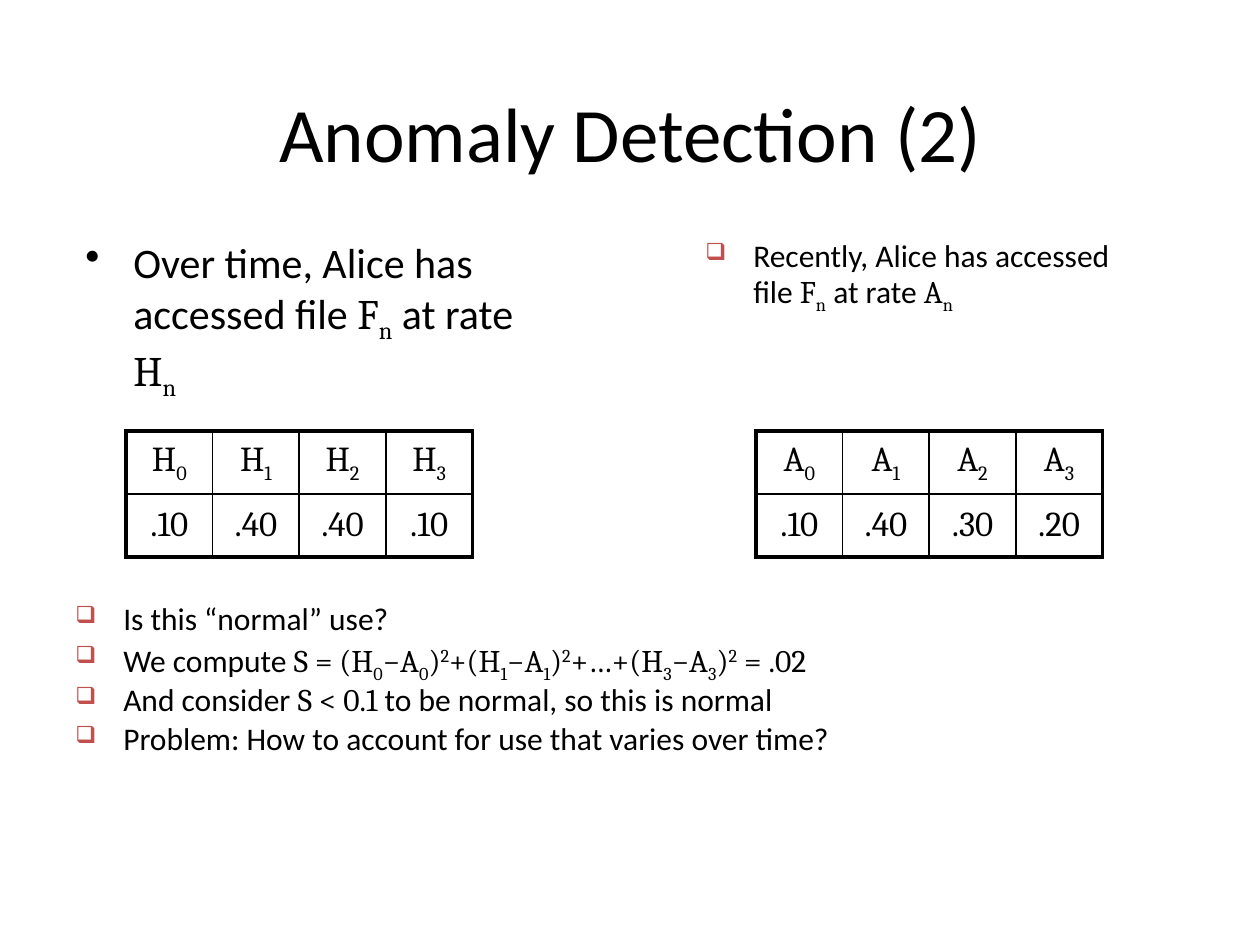
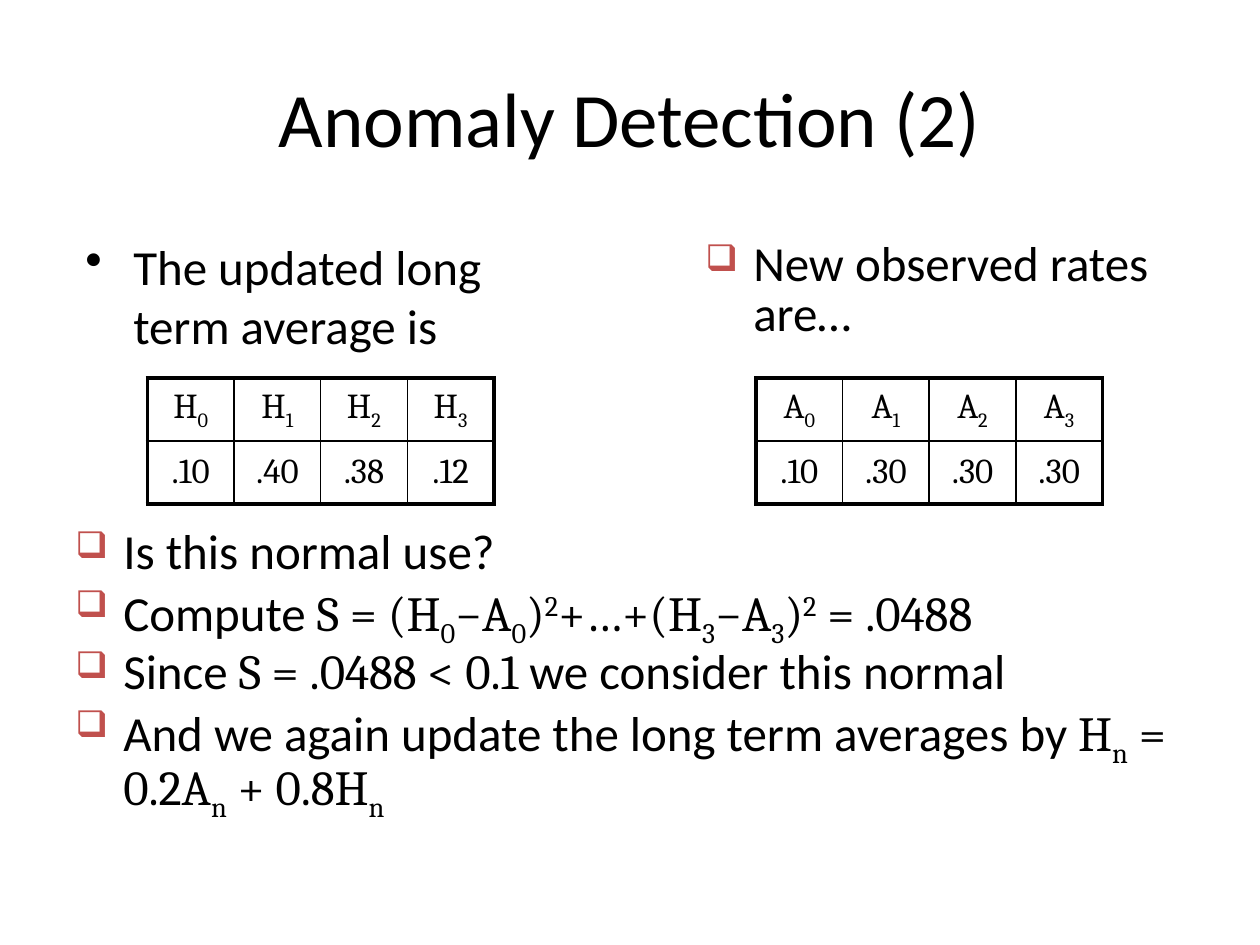
"""Build two slides that compare long term and recent file access rates."""
from dataclasses import dataclass
from itertools import groupby
from typing import Any, Iterator, Optional

from pptx import Presentation
from pptx.dml.color import RGBColor
from pptx.enum.text import MSO_ANCHOR, PP_ALIGN
from pptx.oxml.ns import qn
from pptx.slide import Slide
from pptx.table import _Cell
from pptx.util import Inches, Pt
from lxml import etree

CENTER, LEFT = PP_ALIGN.CENTER, PP_ALIGN.LEFT
MIDDLE, TOP = MSO_ANCHOR.MIDDLE, MSO_ANCHOR.TOP
BASELINES = {"_": -25000, "^": 30000}


@dataclass(frozen=True)
class Theme:
    text_font: str = "Calibri"
    math_font: str = "Cambria"
    ink: str = "000000"
    accent: str = "C0504D"
    title_size: int = 44
    cell_size: int = 20
    space_ratio: float = 0.2
    indent: float = 0.38
    outer_line: float = 2.25
    inner_line: float = 1


@dataclass(frozen=True)
class Bullet:
    character: str
    color: Optional[str] = None
    percent: int = 100


@dataclass(frozen=True)
class TextBlock:
    box: tuple[float, float, float, float]
    size: int
    lines: tuple[str, ...]
    bullet: Optional[Bullet] = None
    line_spacing: float = 1.0


@dataclass(frozen=True)
class RateTable:
    left: float
    top: float
    letter: str
    rates: tuple[str, ...]
    column_width: float = 2.75 / 4
    row_height: float = 0.5


@dataclass(frozen=True)
class SlideContent:
    title: TextBlock
    blocks: tuple[TextBlock, ...]
    tables: tuple[RateTable, ...]


THEME = Theme()
DOT = Bullet("•")
SQUARE = Bullet("❑", THEME.accent, 75)
TITLE = ("Anomaly Detection (2)",)


def apply_format(target: Any, values: dict[str, Any]) -> None:
    """Set each named attribute on the target."""
    for name, value in values.items():
        setattr(target, name, value)


def split_runs(text: str) -> Iterator[tuple[str, str, int]]:
    """Yield wording, font and baseline; $ encloses math, _ and ^ shift one character."""
    for index, segment in enumerate(text.split("$")):
        if index % 2 == 0:
            if segment:
                yield segment, THEME.text_font, 0
            continue
        shifted = [(BASELINES.get(previous, 0), character)
                   for previous, character in zip(" " + segment, segment)
                   if character not in BASELINES]
        for baseline, group in groupby(shifted, key=lambda pair: pair[0]):
            yield "".join(character for _, character in group), THEME.math_font, baseline


def write_runs(paragraph: Any, text: str, size: int) -> None:
    """Write marked-up text into a paragraph."""
    for wording, font_name, baseline in split_runs(text):
        run = paragraph.add_run()
        run.text = wording
        apply_format(run.font, {"name": font_name, "size": Pt(size)})
        run.font.color.rgb = RGBColor.from_string(THEME.ink)
        if baseline:
            run.font._element.set("baseline", str(baseline))


def set_bullet(paragraph: Any, bullet: Bullet) -> None:
    """Give a paragraph a hanging bullet."""
    properties = paragraph._p.get_or_add_pPr()
    indent = Inches(THEME.indent)
    properties.set("marL", str(indent))
    properties.set("indent", str(-indent))
    if bullet.color:
        color = etree.SubElement(properties, qn("a:buClr"))
        etree.SubElement(color, qn("a:srgbClr"), val=bullet.color)
    etree.SubElement(properties, qn("a:buSzPct"), val=str(bullet.percent * 1000))
    etree.SubElement(properties, qn("a:buChar"), char=bullet.character)


def draw_text(slide: Slide, block: TextBlock) -> None:
    """Draw a bulleted block, or a centred title when there is no bullet."""
    shape = slide.shapes.add_textbox(*map(Inches, block.box))
    frame = shape.text_frame
    apply_format(frame, {"word_wrap": True, "vertical_anchor": TOP if block.bullet else MIDDLE})
    for index, line in enumerate(block.lines):
        paragraph = frame.add_paragraph() if index else frame.paragraphs[0]
        space = THEME.space_ratio * block.size if block.bullet else 0
        apply_format(paragraph, {
            "alignment": LEFT if block.bullet else CENTER,
            "line_spacing": block.line_spacing,
            "space_before": Pt(space),
        })
        if block.bullet:
            set_bullet(paragraph, block.bullet)
        write_runs(paragraph, line, block.size)


def set_borders(cell: _Cell, outer_sides: dict[str, bool]) -> None:
    """Draw the cell borders, heavier on the outer sides."""
    properties = cell._tc.get_or_add_tcPr()
    for side, is_outer in outer_sides.items():
        width = Pt(THEME.outer_line if is_outer else THEME.inner_line)
        line = etree.SubElement(properties, qn(f"a:ln{side}"), w=str(width))
        fill = etree.SubElement(line, qn("a:solidFill"))
        etree.SubElement(fill, qn("a:srgbClr"), val=THEME.ink)


def draw_table(slide: Slide, content: RateTable) -> None:
    """Draw a header of indexed letters above their rates."""
    header = [f"{content.letter}_{index}" for index in range(len(content.rates))]
    rows = (header, content.rates)
    last_row, last_column = len(rows) - 1, len(header) - 1
    bounds = (content.left, content.top,
              content.column_width * len(header), content.row_height * len(rows))
    table = slide.shapes.add_table(len(rows), len(header), *map(Inches, bounds)).table
    apply_format(table, {"first_row": False, "horz_banding": False})
    for row_index, row in enumerate(rows):
        for column_index, text in enumerate(row):
            cell = table.cell(row_index, column_index)
            cell.vertical_anchor = MIDDLE
            set_borders(cell, {
                "L": column_index == 0,
                "R": column_index == last_column,
                "T": row_index == 0,
                "B": row_index == last_row,
            })
            cell.fill.background()
            paragraph = cell.text_frame.paragraphs[0]
            apply_format(paragraph, {
                "alignment": CENTER,
                "space_before": Pt(THEME.space_ratio * THEME.cell_size),
            })
            write_runs(paragraph, f"${text}$", THEME.cell_size)


SLIDES = (
    SlideContent(
        TextBlock((0.67, 0.42, 8.67, 1.25), THEME.title_size, TITLE),
        (
            TextBlock((0.58, 1.83, 3.75, 1.33), 24,
                      ("Over time, Alice has accessed file $F_n$ at rate $H_n$",), DOT),
            TextBlock((5.5, 1.87, 3.75, 1.33), 18,
                      ("Recently, Alice has accessed file $F_n$ at rate $A_n$",), SQUARE, 0.85),
            TextBlock((0.5, 4.75, 9.25, 2), 18, (
                "Is this “normal” use?",
                "We compute $S = (H_0−A_0)^2+(H_1−A_1)^2+…+(H_3−A_3)^2 = .02$",
                "And consider $S < 0.1$ to be normal, so this is normal",
                "Problem: How to account for use that varies over time?",
            ), SQUARE, 0.85),
        ),
        (
            RateTable(1, 3.42, "H", (".10", ".40", ".40", ".10")),
            RateTable(6, 3.42, "A", (".10", ".40", ".30", ".20")),
        ),
    ),
    SlideContent(
        TextBlock((0.5, 0.3, 9, 1.25), THEME.title_size, TITLE),
        (
            TextBlock((0.58, 1.83, 3.83, 1.08), 28,
                      ("The updated long term average is",), DOT),
            TextBlock((5.5, 1.87, 3.75, 0.97), 28,
                      ("New observed rates are…",), SQUARE, 0.85),
            TextBlock((0.5, 4.17, 9.08, 2.58), 28, (
                "Is this normal use?",
                "Compute $S = (H_0−A_0)^2+…+(H_3−A_3)^2 = .0488$",
                "Since $S = .0488 < 0.1$ we consider this normal",
                "And we again update the long term averages by $H_n = 0.2A_n + 0.8H_n$",
            ), SQUARE, 0.8),
        ),
        (
            RateTable(1.17, 3, "H", (".10", ".40", ".38", ".12")),
            RateTable(6, 3, "A", (".10", ".30", ".30", ".30")),
        ),
    ),
)


def main() -> None:
    """Build and save the presentation."""
    presentation = Presentation()
    apply_format(presentation, {"slide_width": Inches(10), "slide_height": Inches(7.5)})
    blank_layout = presentation.slide_layouts[6]
    for content in SLIDES:
        slide = presentation.slides.add_slide(blank_layout)
        for block in (content.title, *content.blocks):
            draw_text(slide, block)
        for table in content.tables:
            draw_table(slide, table)
    presentation.save("out.pptx")


main()
